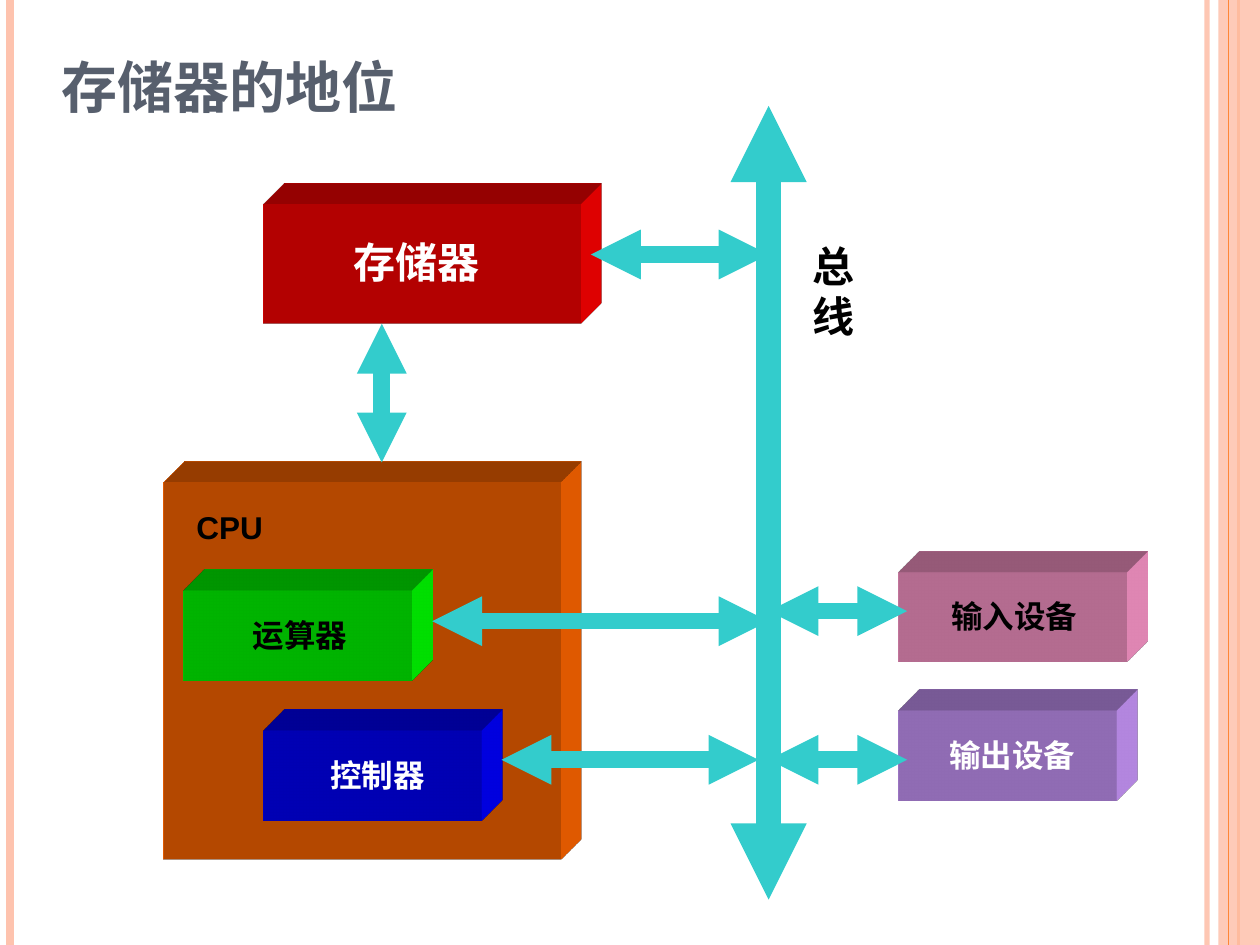
from lxml.etree import SubElement
from pptx import Presentation
from pptx.dml.color import RGBColor
from pptx.enum.shapes import MSO_CONNECTOR, MSO_SHAPE
from pptx.enum.text import MSO_ANCHOR, PP_ALIGN
from pptx.oxml import parse_xml
from pptx.oxml.ns import nsdecls, qn
from pptx.util import Inches, Pt

WHITE = RGBColor(0xFF, 0xFF, 0xFF)
BLACK = RGBColor(0, 0, 0)
SLATE = RGBColor(0x57, 0x5F, 0x6D)
PEACH = RGBColor(0xFE, 0xC3, 0xAE)
ORANGE = RGBColor(0xFE, 0x86, 0x37)
TEAL = RGBColor(0x33, 0xCC, 0xCC)
CPU_ORANGE = RGBColor(0xFF, 0x66, 0x00)
GREEN = RGBColor(0, 0xFF, 0)
BLUE = RGBColor(0, 0, 0xFF)
RED = RGBColor(0xFF, 0, 0)
PINK = RGBColor(0xFF, 0x99, 0xCC)
VIOLET = RGBColor(0xCC, 0x99, 0xFF)

prs = Presentation()
prs.slide_width = Inches(10)
prs.slide_height = Inches(7.5)
slide = prs.slides.add_slide(prs.slide_layouts[6])


def add_line(x1, y1, x2, y2, color, width):
    line = slide.shapes.add_connector(
        MSO_CONNECTOR.STRAIGHT, Inches(x1), Inches(y1), Inches(x2), Inches(y2))
    line.line.color.rgb = color
    line.line.width = Pt(width)
    SubElement(line._element.spPr, qn("a:effectLst"))
    return line


def add_label(text, x, y, w, h, size, color, font="Arial", align=PP_ALIGN.CENTER,
              anchor=MSO_ANCHOR.TOP):
    frame = slide.shapes.add_textbox(Inches(x), Inches(y), Inches(w), Inches(h)).text_frame
    frame.word_wrap = True
    frame.vertical_anchor = anchor
    frame.paragraphs[0].alignment = align
    run = frame.paragraphs[0].add_run()
    run.text = text
    run.font.name = font
    run.font.size = Pt(size)
    run.font.bold = True
    run.font.color.rgb = color


edge = add_line(9.58, 0, 9.58, 7.5, PEACH, 3)
edge_color = edge.line._ln.find(".//" + qn("a:srgbClr"))
SubElement(edge_color, qn("a:alpha"), val="93000")
add_line(0.08, 0, 0.08, 7.5, PEACH, 4.5)
add_line(9.83, 0, 9.83, 7.5, ORANGE, 1.5)
band = slide.shapes.add_shape(
    MSO_SHAPE.RECTANGLE, Inches(9.67), Inches(0), Inches(0.33), Inches(7.5))
band.shadow.inherit = False
band.fill.solid()
band.fill.fore_color.rgb = PEACH
band.line.fill.background()
band_color = band._element.spPr.find(qn("a:solidFill")).find(qn("a:srgbClr"))
SubElement(band_color, qn("a:alpha"), val="87000")
add_line(9.75, 0, 9.75, 7.5, ORANGE, 0.75)

add_label("存储器的地位", 0.39, 0.29, 8.25, 0.71, 32, SLATE, "Cambria",
          PP_ALIGN.LEFT, MSO_ANCHOR.BOTTOM)

for x, y, w, h, color in [
    (1.3, 3.83, 3.15, 2.99, CPU_ORANGE),
    (1.46, 4.69, 1.81, 0.71, GREEN),
    (2.09, 5.8, 1.73, 0.71, BLUE),
    (2.09, 1.62, 2.52, 0.95, RED),
    (7.13, 4.54, 1.81, 0.71, PINK),
    (7.13, 5.64, 1.73, 0.71, VIOLET),
]:
    block = slide.shapes.add_shape(
        MSO_SHAPE.RECTANGLE, Inches(x), Inches(y), Inches(w), Inches(h))
    block.shadow.inherit = False
    block.fill.solid()
    block.fill.fore_color.rgb = color
    block.line.fill.background()
    block._element.spPr.append(parse_xml(
        f'<a:scene3d {nsdecls("a")}><a:camera prst="legacyObliqueTopRight"/>'
        '<a:lightRig rig="legacyFlat3" dir="b"/></a:scene3d>'))
    block._element.spPr.append(parse_xml(
        f'<a:sp3d {nsdecls("a")} extrusionH="430200" prstMaterial="legacyMatte">'
        '<a:bevelT w="13500" h="13500" prst="angle"/>'
        '<a:bevelB w="13500" h="13500" prst="angle"/>'
        f'<a:extrusionClr><a:srgbClr val="{color}"/></a:extrusionClr></a:sp3d>'))

add_label("CPU", 1.46, 3.98, 1.81, 0.4, 18, BLACK, align=PP_ALIGN.LEFT)
for text, x, y, w, h, size, color in [
    ("运算器", 1.77, 4.84, 1.22, 0.4, 18, BLACK),
    ("控制器", 2.09, 5.95, 1.81, 0.4, 18, WHITE),
    ("存储器", 2.4, 1.83, 1.81, 0.5, 24, WHITE),
    ("输入设备", 7.44, 4.69, 1.22, 0.4, 18, BLACK),
    ("输出设备", 7.13, 5.79, 1.81, 0.4, 18, WHITE),
    ("总线", 6.34, 1.86, 0.55, 0.9, 24, BLACK),
]:
    add_label(text, x, y, w, h, size, color)

for x1, y1, x2, y2, width in [
    (6.1, 0.84, 6.1, 7.14, 14.5),
    (4.69, 2.02, 6.1, 2.02, 9.5),
    (6.1, 4.85, 7.2, 4.85, 9.5),
    (6.1, 6.03, 7.2, 6.03, 9.5),
    (3.03, 2.57, 3.03, 3.67, 9.5),
    (3.43, 4.93, 6.1, 4.93, 9.5),
    (3.98, 6.03, 6.02, 6.03, 9.5),
]:
    arrow = add_line(x1, y1, x2, y2, TEAL, width)
    for end in ("a:headEnd", "a:tailEnd"):
        SubElement(arrow.line._ln, qn(end), type="triangle")

prs.save("out.pptx")
